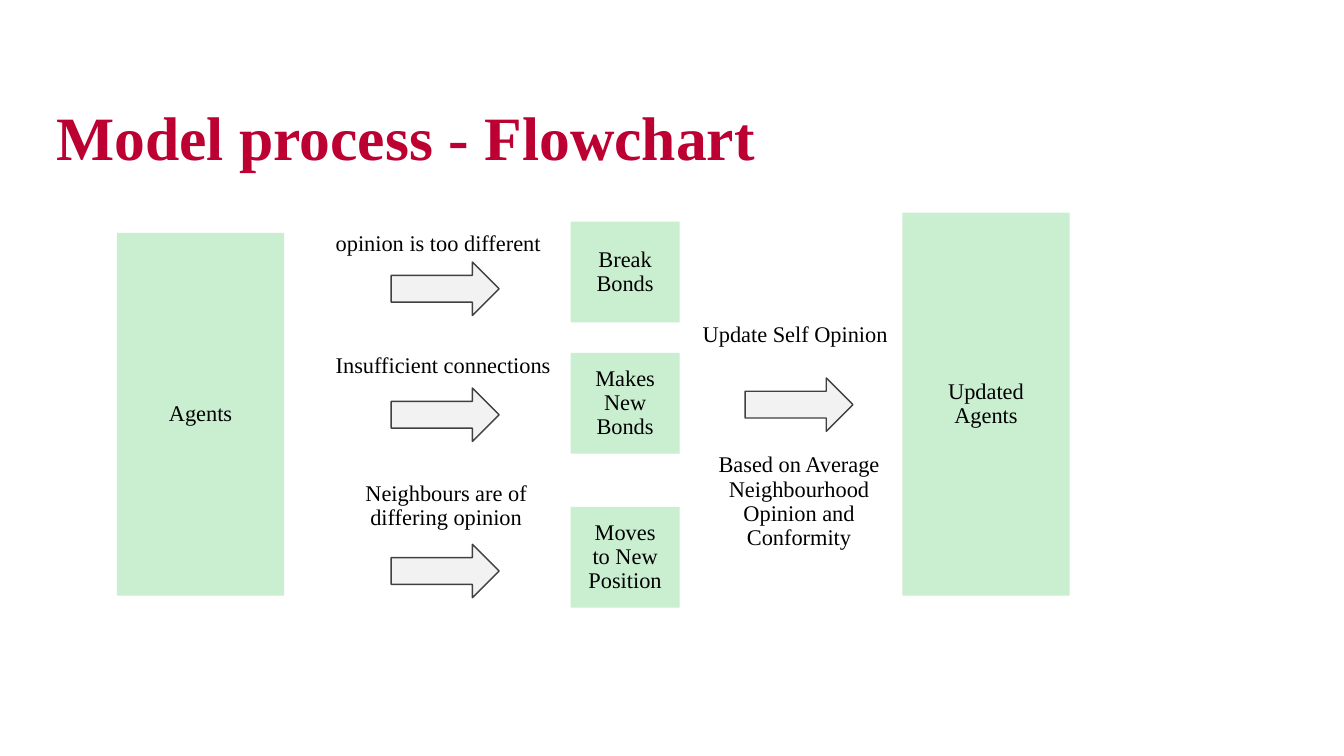
import pptx
import pptx.dml.color
import pptx.enum.shapes
import pptx.enum.text
import pptx.util
from pptx.util import Inches

SHAPE = pptx.enum.shapes.MSO_SHAPE
ALIGN = pptx.enum.text.PP_ALIGN
ANCHOR = pptx.enum.text.MSO_ANCHOR


def color(hex_code):
    return pptx.dml.color.RGBColor.from_string(hex_code)


def write(shape, text, align=ALIGN.CENTER, anchor=ANCHOR.TOP, inset=0,
          size=16, hex_code="000000", bold=False):
    """Put one formatted paragraph into the shape."""
    frame = shape.text_frame
    frame.word_wrap = True
    frame.vertical_anchor = anchor
    frame.margin_left = frame.margin_right = Inches(inset)
    frame.margin_top = frame.margin_bottom = Inches(inset)
    frame.text = text
    paragraph = frame.paragraphs[0]
    paragraph.alignment = align
    paragraph.line_spacing = 0.9
    font = paragraph.runs[0].font
    font.name = "Times New Roman"
    font.size = pptx.util.Pt(size)
    font.bold = bold
    font.color.rgb = color(hex_code)


presentation = pptx.Presentation()
presentation.slide_width = Inches(13.33)
presentation.slide_height = Inches(7.5)
slide = presentation.slides.add_slide(presentation.slide_layouts[6])
shapes = slide.shapes

title = shapes.add_textbox(Inches(0.56), Inches(0.92), Inches(8.39), Inches(0.95))
write(title, "Model process - Flowchart", ALIGN.LEFT, ANCHOR.MIDDLE,
      size=44, hex_code="BC0031", bold=True)

# Stages: text, left, top, width, height
stages = [
    ("Agents", 1.16, 2.31, 1.66, 3.6),
    ("Break Bonds", 5.66, 2.2, 1.08, 1),
    ("Makes New Bonds", 5.66, 3.5, 1.08, 1),
    ("Moves to New Position", 5.66, 5.03, 1.08, 1),
    ("Updated Agents", 8.95, 2.11, 1.66, 3.8),
]
for text, *box in stages:
    stage = shapes.add_shape(SHAPE.RECTANGLE, *map(Inches, box))
    stage.shadow.inherit = False
    stage.fill.solid()
    stage.fill.fore_color.rgb = color("C9EED0")
    stage.line.fill.background()
    write(stage, text, anchor=ANCHOR.MIDDLE, inset=0.16)

for left, top in [(3.88, 2.6), (3.88, 3.85), (3.88, 5.4), (7.39, 3.75)]:
    arrow = shapes.add_shape(SHAPE.RIGHT_ARROW, Inches(left), Inches(top),
                             Inches(1.07), Inches(0.53))
    arrow.shadow.inherit = False
    arrow.fill.solid()
    arrow.fill.fore_color.rgb = color("F2F2F2")
    arrow.line.color.rgb = color("404040")
    arrow.line.width = pptx.util.Pt(1)

# Conditions: text, alignment, left, top, width, height
conditions = [
    ("opinion is too different", ALIGN.LEFT, 3.33, 2.3, 3, 0.24),
    ("Insufficient connections", ALIGN.LEFT, 3.33, 3.51, 3, 0.24),
    ("Neighbours are of differing opinion", ALIGN.CENTER, 3.29, 4.78, 2.27, 0.48),
    ("Update Self Opinion", ALIGN.LEFT, 6.97, 3.21, 3, 0.24),
    ("Based on Average Neighbourhood Opinion and Conformity",
     ALIGN.CENTER, 6.99, 4.5, 1.87, 0.97),
]
for text, align, *box in conditions:
    condition = shapes.add_textbox(*map(Inches, box))
    write(condition, text, align)

presentation.save("out.pptx")
